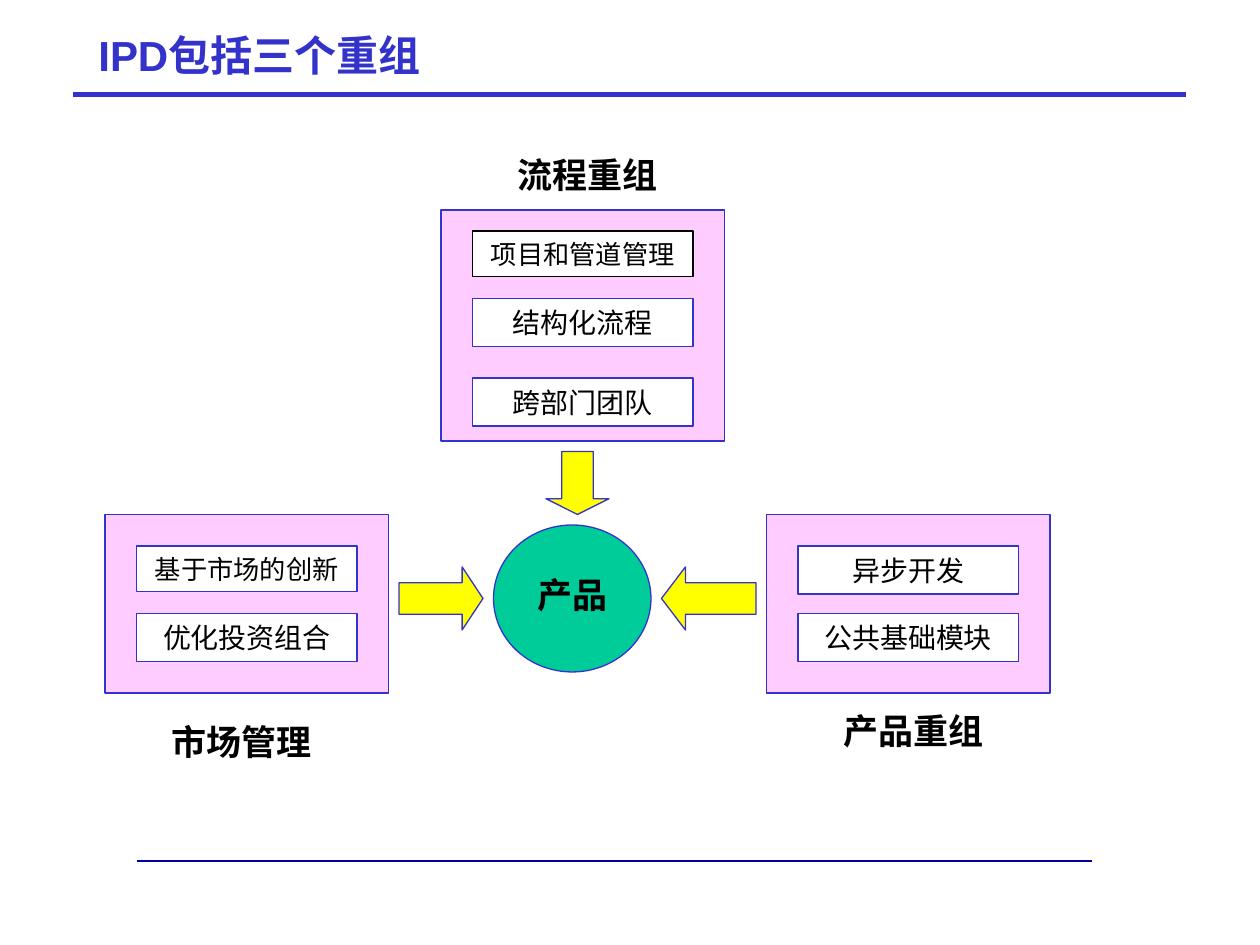
from lxml import etree
from pptx import Presentation
from pptx.dml.color import RGBColor
from pptx.enum.shapes import MSO_CONNECTOR, MSO_SHAPE
from pptx.enum.text import MSO_ANCHOR, MSO_AUTO_SIZE, PP_ALIGN
from pptx.oxml.ns import qn
from pptx.util import Pt

RECT, ELLIPSE = MSO_SHAPE.RECTANGLE, MSO_SHAPE.OVAL
RIGHT, LEFT, DOWN = MSO_SHAPE.RIGHT_ARROW, MSO_SHAPE.LEFT_ARROW, MSO_SHAPE.DOWN_ARROW
STRAIGHT = MSO_CONNECTOR.STRAIGHT
ALIGN_LEFT, ALIGN_CENTER = PP_ALIGN.LEFT, PP_ALIGN.CENTER
MIDDLE, NO_FIT = MSO_ANCHOR.MIDDLE, MSO_AUTO_SIZE.NONE

BLUE = RGBColor(0x33, 0x33, 0xCC)
NAVY = RGBColor(0x00, 0x00, 0x99)
PINK = RGBColor(0xFF, 0xCC, 0xFF)
GREEN = RGBColor(0x00, 0xCC, 0x99)
YELLOW = RGBColor(0xFF, 0xFF, 0x00)
WHITE = RGBColor(0xFF, 0xFF, 0xFF)
BLACK = RGBColor(0x00, 0x00, 0x00)
LATIN, CJK = "Arial", "Noto Sans CJK SC"

TITLE = "IPD包括三个重组"
RULES = [(42, 678, 54, BLUE, 3), (78.5, 624, 492, NAVY, 1)]  # x1, x2, y, colour, width

PANEL_W, PANEL_PAD, LABEL_W, LABEL_H = 162, 18, 108, 31
# Items: text, top, height, size, font, border
PANELS = [
    {"pos": (252, 120), "height": 132, "label": ("流程重组", 282, 84), "items": [
        ("项目和管道管理", 132, 26, 15, LATIN, BLACK),
        ("结构化流程", 170.5, 27.5, 16, CJK, BLUE),
        ("跨部门团队", 216, 27.5, 16, CJK, BLUE)]},
    {"pos": (60, 294), "height": 102, "label": ("市场管理", 84, 408), "items": [
        ("基于市场的创新", 312, 26, 15, CJK, BLUE),
        ("优化投资组合", 350.5, 27.5, 16, CJK, BLUE)]},
    {"pos": (438, 294), "height": 102, "label": ("产品重组", 468, 402), "items": [
        ("异步开发", 312, 27.5, 16, CJK, BLUE),
        ("公共基础模块", 350.5, 27.5, 16, CJK, BLUE)]},
]
PRODUCT = ("产品", 285, 324)
ARROWS = [  # shape, box, head length ratio
    (RIGHT, (228, 324, 48, 36), 0.33),
    (LEFT, (378, 324, 54, 36), 0.38),
    (DOWN, (312, 258, 36, 36), 0.25),
]


def write(sp, text, size, font=CJK, color=BLACK, bold=False, align=ALIGN_CENTER, inset=0):
    tf = sp.text_frame
    tf.auto_size = NO_FIT
    tf.word_wrap = True
    tf.vertical_anchor = MIDDLE
    tf.margin_left = tf.margin_right = Pt(inset)
    tf.margin_top = tf.margin_bottom = 0
    p = tf.paragraphs[0]
    p.alignment = align
    r = p.add_run()
    r.text = text
    r.font.name, r.font.size, r.font.bold = font, Pt(size), bold
    r.font.color.rgb = color
    ea = etree.SubElement(r.font._element, qn("a:ea"))
    ea.set("typeface", CJK)


def add_shape(slide, kind, box, fill, border=BLUE):
    sp = slide.shapes.add_shape(kind, *map(Pt, box))
    sp.shadow.inherit = False
    sp.fill.solid()
    sp.fill.fore_color.rgb = fill
    sp.line.color.rgb = border
    sp.line.width = Pt(0.75)
    return sp


def add_label(slide, text, x, y, width=LABEL_W):
    write(slide.shapes.add_textbox(Pt(x), Pt(y), Pt(width), Pt(LABEL_H)), text, 20, bold=True)


def add_rule(slide, x1, x2, y, color, width):
    line = slide.shapes.add_connector(STRAIGHT, Pt(x1), Pt(y), Pt(x2), Pt(y))
    line.line.color.rgb = color
    line.line.width = Pt(width)
    etree.SubElement(line._element.spPr, qn("a:effectLst"))


def add_panel(slide, panel):
    x, y = panel["pos"]
    add_shape(slide, RECT, (x, y, PANEL_W, panel["height"]), PINK)
    for text, top, height, size, font, border in panel["items"]:
        box = (x + PANEL_PAD, top, PANEL_W - 2 * PANEL_PAD, height)
        write(add_shape(slide, RECT, box, WHITE, border), text, size, font)
    add_label(slide, *panel["label"])


def main():
    prs = Presentation()
    prs.slide_width, prs.slide_height = Pt(720), Pt(540)
    slide = prs.slides.add_slide(prs.slide_layouts[5])

    title = slide.shapes.title
    title.left, title.top, title.width, title.height = map(Pt, (49, 13, 561, 36))
    write(title, TITLE, 24, LATIN, BLUE, bold=True, align=ALIGN_LEFT, inset=7.2)

    for rule in RULES:
        add_rule(slide, *rule)
    for panel in PANELS:
        add_panel(slide, panel)
    add_shape(slide, ELLIPSE, (282, 300, 90, 84), GREEN)
    add_label(slide, *PRODUCT, width=84)
    for kind, box, head in ARROWS:
        arrow = add_shape(slide, kind, box, YELLOW)
        arrow.adjustments[0] = 0.5
        # The preset measures the head against the shorter side
        arrow.adjustments[1] = head * max(box[2:]) / min(box[2:]) if kind == LEFT else head
        if kind == RIGHT:
            arrow.adjustments[1] = head * box[2] / box[3] * 0.75
        elif kind == LEFT:
            arrow.adjustments[1] = head

    prs.save("out.pptx")


if __name__ == "__main__":
    main()
